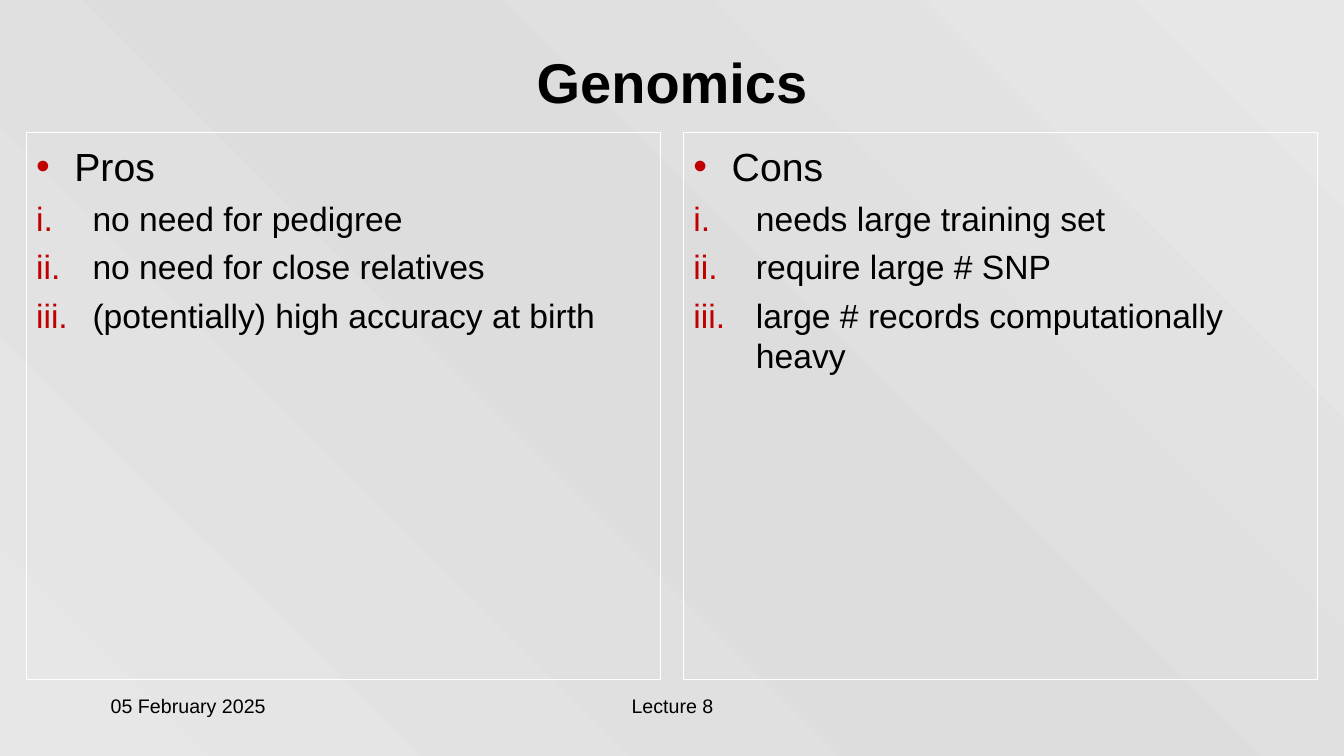
from copy import deepcopy
from dataclasses import dataclass

from lxml.etree import SubElement
from pptx import Presentation
from pptx.dml.color import RGBColor
from pptx.enum.shapes import MSO_SHAPE as Shape
from pptx.enum.text import MSO_ANCHOR as Anchor, PP_ALIGN as Align
from pptx.oxml.ns import qn
from pptx.util import Inches, Pt

WIDTH, HEIGHT = Inches(13.33), Inches(7.5)
FONT = "Arial"
BLACK, WHITE, RED = "000000", "FFFFFF", "C00000"
BACKGROUND = [(0, "E7E7E7"), (0.5, "DDDDDD"), (1, "E7E7E7")]
MARGIN, PANEL_WIDTH, PANEL_STEP = 1.95, 47.19, 48.91


@dataclass(frozen=True)
class Area:
    """A rectangle in percent of the slide's width and height."""
    left: float
    top: float
    width: float
    height: float

    def lengths(self) -> tuple[int, int, int, int]:
        """Return left, top, width and height as slide lengths."""
        return (int(WIDTH * self.left / 100), int(HEIGHT * self.top / 100),
                int(WIDTH * self.width / 100), int(HEIGHT * self.height / 100))


@dataclass(frozen=True)
class Label:
    """A single line of text in its own box."""
    text: str
    area: Area
    size: int
    align: Align
    anchor: Anchor = Anchor.TOP
    bold: bool = False


@dataclass(frozen=True)
class Panel:
    """A framed list with a heading and numbered points."""
    heading: str
    points: tuple[str, ...]
    indent: float


LABELS = [
    Label("Genomics", Area(MARGIN, 4, 96.1, 13.47), 40, Align.CENTER, Anchor.MIDDLE, True),
    Label("05 February 2025", Area(7.5, 91.07, 20.86, 6.67), 14, Align.LEFT),
    Label("Lecture 8", Area(34.21, 91.07, 31.66, 6.67), 14, Align.CENTER),
]
PANELS = [
    Panel("Pros", ("no need for pedigree", "no need for close relatives",
                   "(potentially) high accuracy at birth"), 0.56),
    Panel("Cons", ("needs large training set", "require large # SNP",
                   "large # records computationally heavy"), 0.62),
]


def colour(value: str) -> RGBColor:
    """Turn a hex string into a colour."""
    return RGBColor.from_string(value)


def paint_background(page) -> None:
    """Fill the page with a diagonal three-stop gradient."""
    fill = page.background.fill
    fill.gradient()
    fill.gradient_angle = 45
    stops = page.element.find(".//" + qn("a:gsLst"))
    stops.append(deepcopy(stops[0]))
    for stop, (position, shade) in zip(fill.gradient_stops, BACKGROUND):
        stop.position = position
        stop.color.rgb = colour(shade)


def add_span(para, text: str, size: int, bold: bool = False) -> None:
    """Append one black run to a paragraph."""
    span = para.add_run()
    span.text = text
    span.font.name, span.font.size, span.font.bold = FONT, Pt(size), bold
    span.font.color.rgb = colour(BLACK)


def add_marker(para, indent: float, tag: str, **attributes: str) -> None:
    """Give a paragraph a hanging indent and a red bullet or number."""
    properties = para._p.get_or_add_pPr()
    properties.set("marL", str(Inches(indent)))
    properties.set("indent", str(-Inches(indent)))
    SubElement(SubElement(properties, qn("a:buClr")), qn("a:srgbClr"), val=RED)
    SubElement(properties, qn("a:buFont"), typeface=FONT)
    SubElement(properties, qn(tag), **attributes)


def add_label(page, label: Label) -> None:
    """Draw a text box holding one label."""
    frame = page.shapes.add_textbox(*label.area.lengths()).text_frame
    frame.word_wrap = True
    frame.vertical_anchor = label.anchor
    para = frame.paragraphs[0]
    para.alignment = label.align
    add_span(para, label.text, label.size, label.bold)


def add_panel(page, panel: Panel, column: int) -> None:
    """Draw a framed list in the given column."""
    area = Area(MARGIN + column * PANEL_STEP, 17.47, PANEL_WIDTH, 72.4)
    box = page.shapes.add_shape(Shape.RECTANGLE, *area.lengths())
    box.shadow.inherit = False
    box.fill.background()
    box.line.color.rgb = colour(WHITE)
    box.line.width = Pt(0.75)
    frame = box.text_frame
    frame.word_wrap = True
    frame.vertical_anchor = Anchor.TOP
    frame.margin_top = Inches(0.1)
    heading = frame.paragraphs[0]
    heading.alignment = Align.LEFT
    add_marker(heading, 0.38, "a:buChar", char="•")
    add_span(heading, panel.heading, 28)
    for point in panel.points:
        para = frame.add_paragraph()
        para.alignment = Align.LEFT
        add_marker(para, panel.indent, "a:buAutoNum", type="romanLcPeriod")
        para.space_before = Pt(6)
        add_span(para, point, 24)


def main() -> None:
    """Build and save the slide."""
    deck = Presentation()
    deck.slide_width, deck.slide_height = WIDTH, HEIGHT
    page = deck.slides.add_slide(deck.slide_layouts[6])
    paint_background(page)
    for column, panel in enumerate(PANELS):
        add_panel(page, panel, column)
    for label in LABELS:
        add_label(page, label)
    deck.save("out.pptx")


if __name__ == "__main__":
    main()
